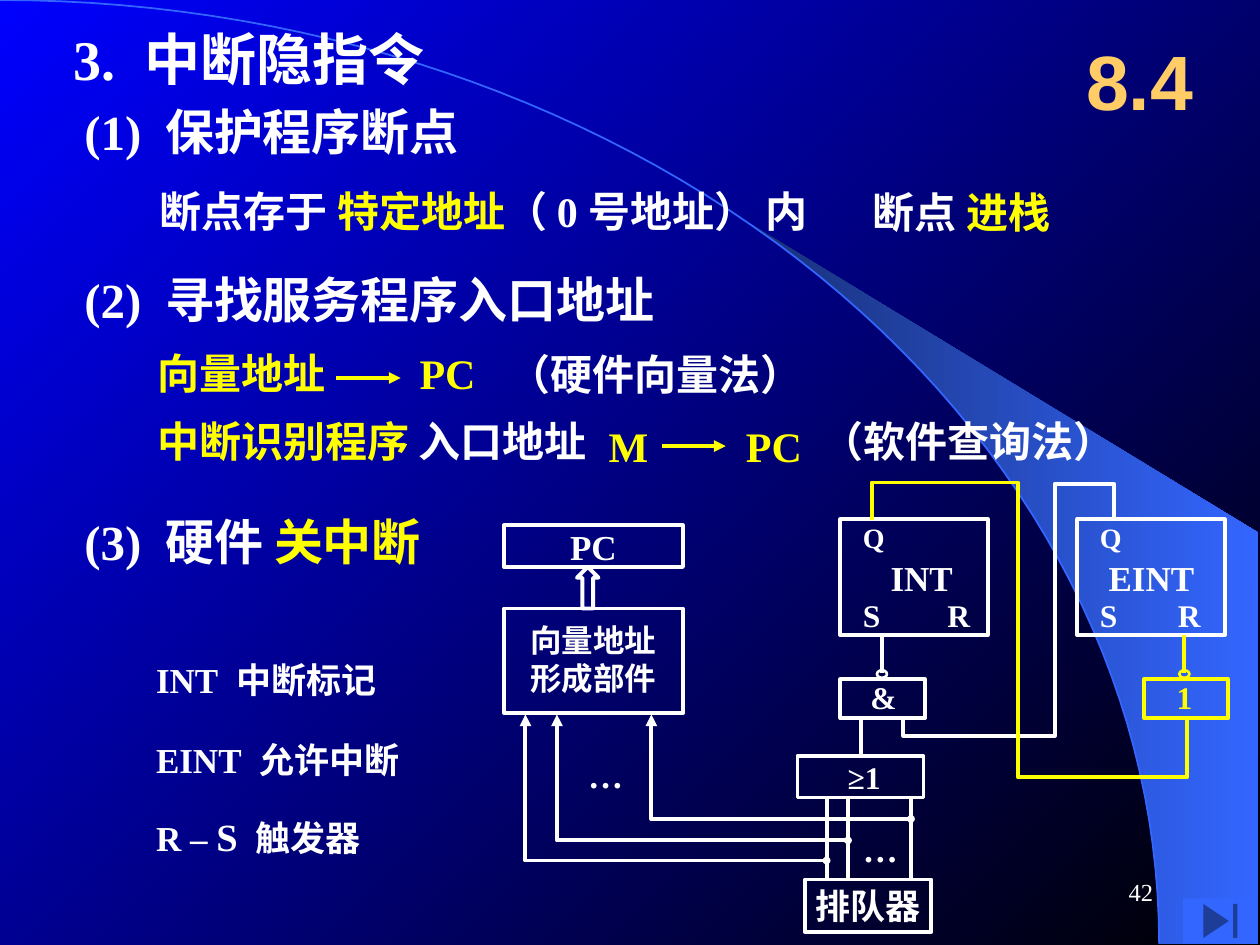
from math import asin, cos, pi, sin

from lxml import etree
from pptx import Presentation
from pptx.dml.color import RGBColor
from pptx.enum.shapes import MSO_CONNECTOR, MSO_SHAPE
from pptx.enum.text import MSO_ANCHOR, MSO_AUTO_SIZE, PP_ALIGN
from pptx.oxml.ns import qn
from pptx.util import Inches, Pt

WHITE = RGBColor(0xFF, 0xFF, 0xFF)
YELLOW = RGBColor(0xFF, 0xFF, 0x00)
GOLD = RGBColor(0xFF, 0xCC, 0x66)
BLUE = RGBColor(0x00, 0x00, 0xFF)
BLACK = RGBColor(0x00, 0x00, 0x00)
SKY = RGBColor(0x33, 0x66, 0xFF)
NAVY = RGBColor(0x18, 0x2F, 0x76)
SERIF, SANS = "Times New Roman", "Arial"
MIDDLE, TOP = MSO_ANCHOR.MIDDLE, MSO_ANCHOR.TOP
LEFT, CENTER, RIGHT = PP_ALIGN.LEFT, PP_ALIGN.CENTER, PP_ALIGN.RIGHT
NO_FIT, GROW = MSO_AUTO_SIZE.NONE, MSO_AUTO_SIZE.SHAPE_TO_FIT_TEXT
RECT, OVAL, UP_ARROW = MSO_SHAPE.RECTANGLE, MSO_SHAPE.OVAL, MSO_SHAPE.UP_ARROW
END_BUTTON, STRAIGHT = MSO_SHAPE.ACTION_BUTTON_END, MSO_CONNECTOR.STRAIGHT


def write(shape, lines, size, font=SERIF, bold=True, anchor=TOP, align=LEFT,
          inset=0.1, wrap=False, fit=NO_FIT, tab=None):
    """Fill a shape with lines, each a list of (text, colour[, size]) spans."""
    frame = shape.text_frame
    frame.word_wrap, frame.auto_size, frame.vertical_anchor = wrap, fit, anchor
    frame.margin_left = frame.margin_right = Inches(inset)
    frame.margin_top = frame.margin_bottom = Inches(0.05)
    for index, spans in enumerate(lines):
        para = frame.add_paragraph() if index else frame.paragraphs[0]
        para.alignment = align
        if tab:
            stops = etree.SubElement(para._p.get_or_add_pPr(), qn("a:tabLst"))
            etree.SubElement(stops, qn("a:tab"), pos=str(Inches(tab)), algn="l")
        for text, color, *own_size in spans:
            span = para.add_run()
            span.text = text
            span.font.name, span.font.bold = font, bold
            span.font.size = Pt(own_size[0] if own_size else size)
            span.font.color.rgb = color


def label(page, box, lines, size, **style):
    """Add a text box."""
    write(page.shapes.add_textbox(*map(Inches, box)), lines, size, **style)


def tag(page, left, top, text, size=18, color=WHITE):
    """Add a one-line label that grows with its text."""
    label(page, (left, top, 0.2 + 0.011 * size * len(text), 0.1 + size / 60),
          [[(text, color)]], size, fit=GROW)


def outline(page, kind, box, color=WHITE, width=2.25):
    """Add an unfilled preset shape."""
    shape = page.shapes.add_shape(kind, *map(Inches, box))
    shape.shadow.inherit = False
    shape.fill.background()
    shape.line.color.rgb = color
    shape.line.width = Pt(width)
    return shape


def freeform(page, points, close=False):
    """Add a freeform through points given in inches."""
    corners = [(Inches(x), Inches(y)) for x, y in points]
    builder = page.shapes.build_freeform(*corners[0])
    builder.add_line_segments(corners[1:], close=close)
    shape = builder.convert_to_shape()
    shape.shadow.inherit = False
    return shape


def wire(page, points, color=WHITE, head=None, tail=None, width=2.25):
    """Draw a straight connector or a bent wire with optional ends."""
    if len(points) == 2:
        (x1, y1), (x2, y2) = points
        shape = page.shapes.add_connector(STRAIGHT, *map(Inches, (x1, y1, x2, y2)))
        etree.SubElement(shape._element.spPr, qn("a:effectLst"))
    else:
        shape = freeform(page, points)
        shape.fill.background()
    shape.line.color.rgb = color
    shape.line.width = Pt(width)
    line = shape.line._get_or_add_ln()
    for name, kind in (("a:headEnd", head), ("a:tailEnd", tail)):
        if kind:
            scale = "sm" if kind == "oval" else "med"
            etree.SubElement(line, qn(name), type=kind, w=scale, len=scale)


def paint(fill, first, last, angle):
    """Apply a two-colour gradient."""
    fill.gradient()
    fill.gradient_angle = angle
    for stop, color, position in zip(fill.gradient_stops, (first, last), (0, 1)):
        stop.color.rgb = color
        stop.position = position


def backdrop(page, width, height):
    """Draw the gradient, the glowing wedge and the elliptic arc."""
    paint(page.background.fill, BLUE, BLACK, 315)

    def arc(start, steps):
        angles = [start + (pi / 2 - start) * i / steps for i in range(steps + 1)]
        return [(width * sin(a), height * (1 - cos(a))) for a in angles]

    edge = arc(asin(5.89 / width), 30)
    wedge = freeform(page, edge + [(9.99, height), (9.99, 4.23)], close=True)
    paint(wedge.fill, NAVY, SKY, 0)
    wedge.line.fill.background()
    wire(page, arc(0, 60), SKY, width=1)


def headings(page):
    """Place the title, the section number and the numbered headings."""
    title = page.shapes.title
    page.shapes._spTree.append(title._element)
    title.left, title.top, title.width, title.height = map(
        Inches, (0.58, 0.17, 4.25, 0.58))
    write(title, [[("3.\t中断隐指令", WHITE)]], 32, anchor=MIDDLE, inset=0, tab=0.57)
    label(page, (8.42, 0.17, 1.25, 0.92), [[("8.4", GOLD)]], 44, font=SANS,
          anchor=MIDDLE, align=CENTER, wrap=True)
    for top, width, height, spans in (
            (0.75, 6.58, 0.58, [("(1)\t保护程序断点", WHITE)]),
            (2.08, 6.58, 0.58, [("(2)\t寻找服务程序入口地址", WHITE)]),
            (3.92, 2.92, 0.75, [("(3)\t硬件 ", WHITE), ("关中断", YELLOW)])):
        label(page, (0.67, top, width, height), [spans], 28, anchor=MIDDLE,
              inset=0, tab=0.64)


def details(page):
    """Place the explanations under the headings and the legend."""
    for box, spans in (
            ((1.17, 1.42, 5.83, 0.5), [("断点存于 ", WHITE), ("特定地址", YELLOW),
                                       ("（ 0 号地址） 内", WHITE)]),
            ((6.83, 1.43, 2.33, 0.5), [("断点 ", WHITE), ("进栈", YELLOW)]),
            ((3.94, 2.72, 4.67, 0.5), [("（硬件向量法）", WHITE)]),
            ((6.42, 3.25, 4.67, 0.5), [("（软件查询法）", WHITE)])):
        label(page, box, [spans], 24, wrap=True, fit=GROW)
    for left, top, width, spans in (
            (1.25, 2.67, 1.42, [("向量地址", YELLOW)]),
            (3.33, 2.67, 0.5, [("PC", YELLOW)]),
            (1.25, 3.21, 3.5, [("中断识别程序 ", YELLOW), ("入口地址", WHITE)]),
            (4.83, 3.25, 0.5, [("M", YELLOW)]),
            (5.92, 3.25, 0.5, [("PC", YELLOW)])):
        label(page, (left, top, width, 0.58), [spans], 24, anchor=MIDDLE, inset=0)
    for left, top in ((2.67, 3), (5.25, 3.54)):
        wire(page, [(left, top), (left + 0.51, top)], YELLOW, tail="triangle")
    for top, tab, spans in (
            (5.18, 0.64, [("INT\t中断标记", WHITE)]),
            (5.81, 0.82, [("EINT\t允许中断", WHITE)]),
            (6.4, 0.79, [("R – ", WHITE), ("S", WHITE, 22), ("\t触发器", WHITE)])):
        label(page, (1.14, top, 2.4, 0.44), [spans], 20, tab=tab)


def flip_flop(page, left, top, name, name_shift, reset_shift):
    """Draw one R-S flip-flop with its pins."""
    outline(page, RECT, (left, top, 1.17, 0.92))
    tag(page, left + name_shift, top + 0.25, name, 20)
    tag(page, left + 0.08, top - 0.04, "Q", 16)
    tag(page, left + 0.08, top + 0.56, "S")
    tag(page, left + reset_shift, top + 0.56, "R")


def gate(page, left, top, text, text_shift, bubble_shift, color):
    """Draw a gate with an inverting bubble and its output wire."""
    center = left + bubble_shift
    outline(page, OVAL, (center - 0.04, top - 0.07, 0.08, 0.06), color, 1.5)
    outline(page, RECT, (left, top, 0.67, 0.31), color)
    tag(page, left + text_shift, top - 0.06, text, color=color)
    wire(page, [(center, top - 0.35), (center, top - 0.05)], color)


def address_unit(page, left, top):
    """Draw the program counter above the vector address unit."""
    counter = outline(page, RECT, (left, top, 1.42, 0.33))
    write(counter, [[("PC", WHITE)]], 20, anchor=MIDDLE, align=CENTER)
    outline(page, UP_ARROW, (left + 0.58, top + 0.33, 0.17, 0.33))
    outline(page, RECT, (left, top + 0.66, 1.42, 0.83))
    label(page, (left + 0.11, top + 0.71, 1.2, 0.7),
          [[("向量地址", WHITE)], [("形成部件", WHITE)]], 18, fit=GROW)


def queue(page):
    """Draw the OR gate, the queue and the wires that leave them."""
    outline(page, RECT, (6.33, 6, 1, 0.33))
    tag(page, 6.63, 5.97, "≥1")
    arbiter = outline(page, RECT, (6.39, 6.98, 1, 0.42))
    write(arbiter, [[("排队器", WHITE)]], 20, anchor=MIDDLE, align=CENTER, inset=0)
    for unit_x, queue_x, y in ((5.17, 7.23, 6.5), (4.42, 6.73, 6.67), (4.17, 6.56, 6.83)):
        wire(page, [(unit_x, 5.67), (unit_x, y), (queue_x, y)],
             head="triangle", tail="oval")
        wire(page, [(queue_x, 6.33), (queue_x, 6.98)])
    tag(page, 4.57, 5.93, "…", 20)
    tag(page, 6.75, 6.52, "…", 20)


def circuit(page):
    """Assemble the interrupt disabling circuit."""
    address_unit(page, 4, 4.17)
    flip_flop(page, 6.67, 4.12, "INT", 0.3, 0.75)
    flip_flop(page, 8.55, 4.12, "EINT", 0.15, 0.7)
    gate(page, 9.08, 5.39, "1", 0.16, 0.32, YELLOW)
    gate(page, 6.67, 5.39, "&", 0.14, 0.33, WHITE)
    queue(page)
    wire(page, [(6.83, 5.7), (6.83, 6)])
    wire(page, [(7.17, 5.7), (7.17, 5.84), (8.37, 5.84), (8.37, 3.84),
                (8.84, 3.84), (8.84, 4.11)])
    wire(page, [(9.42, 5.71), (9.42, 6.17), (8.08, 6.17), (8.08, 3.83),
                (6.92, 3.83), (6.92, 4.13)], YELLOW)


def footer(page):
    """Place the end button and the page number."""
    button = outline(page, END_BUTTON, (9.39, 7.13, 0.59, 0.36))
    button.fill.solid()
    button.fill.fore_color.rgb = SKY
    button.line.fill.background()
    label(page, (7.17, 6.83, 2.08, 0.5), [[("42", WHITE)]], 14, bold=False,
          anchor=MIDDLE, align=RIGHT, wrap=True)


def main():
    """Build the slide and save the deck."""
    deck = Presentation()
    deck.slide_width, deck.slide_height = Inches(10), Inches(7.5)
    page = deck.slides.add_slide(deck.slide_layouts[5])
    backdrop(page, 9.2, 7.49)
    headings(page)
    circuit(page)
    details(page)
    footer(page)
    deck.save("out.pptx")


if __name__ == "__main__":
    main()
